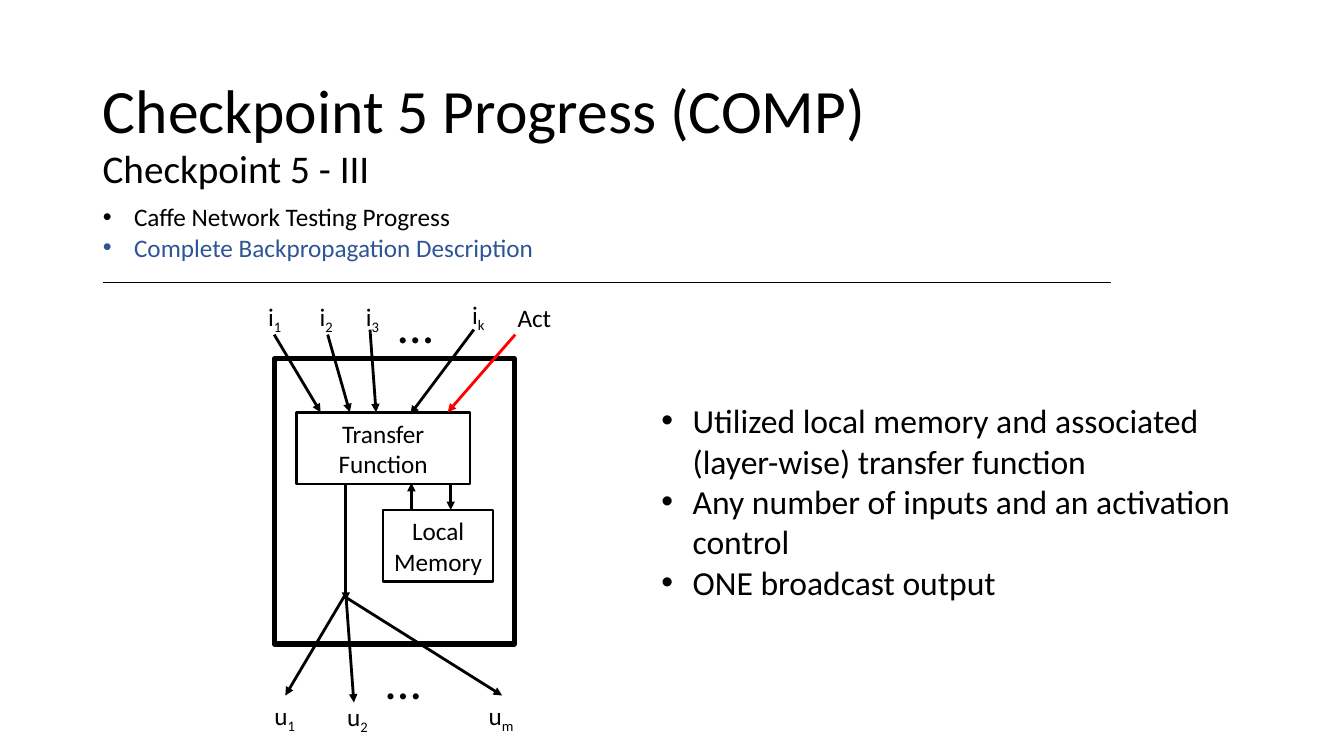
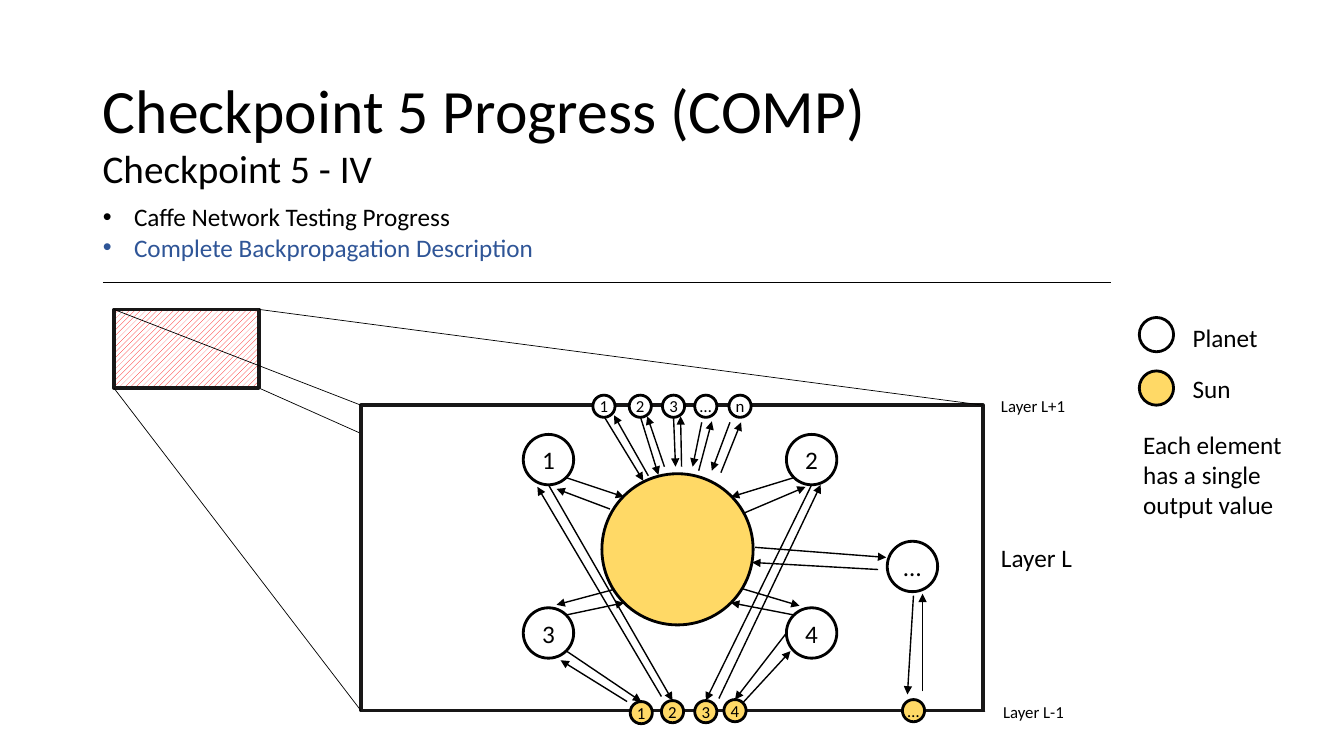
from typing import NamedTuple, Optional

from lxml.etree import SubElement
from pptx import Presentation
from pptx.dml.color import RGBColor
from pptx.enum.dml import MSO_PATTERN
from pptx.enum.shapes import MSO_CONNECTOR, MSO_SHAPE
from pptx.enum.text import MSO_ANCHOR, MSO_AUTO_SIZE, PP_ALIGN
from pptx.oxml.ns import qn
from pptx.util import Inches, Pt

COLORS = {
    "ink": "000000",
    "frame": "181717",
    "current": "2F5597",
    "activation": "FF0000",
    "planet": "FFFFFF",
    "sun": "FFD966",
}
FONT = "Calibri"
LEFT, WIDTH = 0.92, 11.5
TWO_CONTENT, ONE_CONTENT = 3, 1


class Label(NamedTuple):
    text: str
    left: float
    top: float
    width: float
    height: float = 0.4
    size: float = 18
    sub: str = ""
    align: PP_ALIGN = PP_ALIGN.LEFT


class Segment(NamedTuple):
    x1: float
    y1: float
    x2: float
    y2: float
    color: str = "ink"


class Circle(NamedTuple):
    x: float  # centre
    y: float
    diameter: float
    fill: str
    text: str = ""
    size: float = 18


class Box(NamedTuple):
    left: float
    top: float
    width: float
    height: float
    line_width: float
    line: str = "ink"
    text: str = ""


class Item(NamedTuple):
    text: str
    color: str = "ink"


def rgb(name: str) -> RGBColor:
    return RGBColor.from_string(COLORS[name])


def style_para(para, size: float, color: str = "ink", align=PP_ALIGN.LEFT) -> None:
    para.alignment = align
    para.font.name = FONT
    para.font.size = Pt(size)
    para.font.color.rgb = rgb(color)


def place(shape, left: float, top: float, width: float, height: float) -> None:
    shape.left, shape.top = Inches(left), Inches(top)
    shape.width, shape.height = Inches(width), Inches(height)


def add_label(shapes, label: Label):
    box = shapes.add_textbox(Inches(label.left), Inches(label.top),
                             Inches(label.width), Inches(label.height))
    box.text_frame.word_wrap = True
    para = box.text_frame.paragraphs[0]
    style_para(para, label.size, align=label.align)
    para.add_run().text = label.text
    if label.sub:
        span = para.add_run()
        span.text = label.sub
        span.font._element.set("baseline", "-25000")
    return box


def add_line(shapes, segment: Segment, width: float, arrow: bool = False) -> None:
    x1, y1, x2, y2, color = segment
    line = shapes.add_connector(MSO_CONNECTOR.STRAIGHT, Inches(x1), Inches(y1),
                                Inches(x2), Inches(y2))
    line.line.color.rgb = rgb(color)
    line.line.width = Pt(width)
    properties = line._element.spPr
    if arrow:
        SubElement(properties.find(qn("a:ln")), qn("a:tailEnd"), type="triangle")
    SubElement(properties, qn("a:effectLst"))


def add_outline(shapes, kind: MSO_SHAPE, left: float, top: float, width: float,
                height: float, line: str, line_width: float, fill: Optional[str] = None):
    shape = shapes.add_shape(kind, Inches(left), Inches(top), Inches(width), Inches(height))
    shape.shadow.inherit = False
    shape.line.color.rgb = rgb(line)
    shape.line.width = Pt(line_width)
    if fill:
        shape.fill.solid()
        shape.fill.fore_color.rgb = rgb(fill)
    else:
        shape.fill.background()
    return shape


def write_centred(shape, text: str, size: float) -> None:
    para = shape.text_frame.paragraphs[0]
    style_para(para, size, align=PP_ALIGN.CENTER)
    para.add_run().text = text


def add_box(shapes, box: Box, fill: Optional[str] = None):
    shape = add_outline(shapes, MSO_SHAPE.RECTANGLE, *box[:4], box.line, box.line_width, fill)
    if box.text:
        write_centred(shape, box.text, 18)
    return shape


def add_circle(shapes, circle: Circle) -> None:
    radius = circle.diameter / 2
    shape = add_outline(shapes, MSO_SHAPE.OVAL, circle.x - radius, circle.y - radius,
                        circle.diameter, circle.diameter, "ink", 2, circle.fill)
    if circle.text:
        frame = shape.text_frame
        frame.margin_left = frame.margin_right = frame.margin_top = frame.margin_bottom = 0
        frame.word_wrap = False
        write_centred(shape, circle.text, circle.size)


def fill_list(body, items: list[Item], size: float) -> None:
    frame = body.text_frame
    frame.auto_size = MSO_AUTO_SIZE.NONE
    frame.vertical_anchor = MSO_ANCHOR.TOP
    for index, item in enumerate(items):
        para = frame.add_paragraph() if index else frame.paragraphs[0]
        para.add_run().text = item.text
        style_para(para, size, item.color)
        para.space_before = Pt(0)
        properties = para._p.get_or_add_pPr()
        properties.set("marL", str(Inches(0.31)))
        properties.set("indent", str(Inches(-0.31)))


def add_page(deck, layout: int, subtitle: str):
    """Add a page with the shared title, subtitle, agenda and rule."""
    page = deck.slides.add_slide(deck.slide_layouts[layout])
    title = page.shapes.title
    place(title, LEFT, 0.4, WIDTH, 1.45)
    title.text_frame.text = "Checkpoint 5 Progress (COMP)"
    title.text_frame.auto_size = MSO_AUTO_SIZE.NONE
    style_para(title.text_frame.paragraphs[0], 44)

    agenda = page.placeholders[1]
    place(agenda, LEFT, 1.95, WIDTH, 0.71)
    fill_list(agenda, [Item("Caffe Network Testing Progress"),
                       Item("Complete Backpropagation Description", "current")], 18)

    heading = add_label(page.shapes, Label(subtitle, LEFT, 1.41, WIDTH, 0.56, 28))
    for shape in (title, heading):
        shape.text_frame.vertical_anchor = MSO_ANCHOR.MIDDLE
        shape.text_frame.paragraphs[0].line_spacing = 0.9
    add_line(page.shapes, Segment(1.02, 2.8, 11.02, 2.8), 0.5)
    return page


def build_element_page(deck) -> None:
    page = add_page(deck, TWO_CONTENT, "Checkpoint 5 - III")
    element = page.shapes.add_group_shape().shapes

    # Processing element and its parts
    for box in (Box(2.94, 4.09, 1.72, 0.71, 1.75, text="Transfer Function"),
                Box(3.8, 5.06, 1.09, 0.71, 1.75, text="Local Memory"),
                Box(2.72, 3.56, 2.38, 2.83, 3.75)):
        add_box(element, box)

    # Memory exchange, broadcast output, inputs and activation
    for segment in (
        Segment(4.08, 5.06, 4.08, 4.79), Segment(4.47, 4.79, 4.47, 5.06),
        Segment(3.43, 4.79, 3.43, 5.96), Segment(3.43, 5.89, 2.83, 6.9),
        Segment(3.43, 5.89, 3.51, 6.97), Segment(3.42, 5.92, 4.98, 6.9),
        Segment(2.72, 3.32, 3.18, 4.09), Segment(3.25, 3.32, 3.47, 4.09),
        Segment(3.67, 3.27, 3.73, 4.09), Segment(4.7, 3.27, 4.07, 4.11),
        Segment(5.11, 3.32, 4.44, 4.09, "activation"),
    ):
        add_line(element, segment, 2, arrow=True)

    # Signal names
    for text, sub, left, top, width in (
        ("i", "1", 2.54, 2.94, 0.37), ("i", "2", 3.05, 2.94, 0.37),
        ("i", "3", 3.51, 2.94, 0.37), ("i", "k", 4.56, 2.92, 0.37),
        ("Act", "", 5.01, 2.95, 0.58), ("u", "1", 2.6, 6.9, 0.45),
        ("u", "2", 3.32, 6.91, 0.45), ("u", "m", 4.72, 6.9, 0.5),
    ):
        add_label(element, Label(text, left, top, width, sub=sub, align=PP_ALIGN.CENTER))
    for left, top in ((3.85, 2.86), (3.73, 6.39)):
        add_label(element, Label("…", left, top, 0.37, 0.71, 36))

    # Properties of the element
    notes = page.placeholders[2]
    place(notes, 6.46, 3.92, 6.19, 2.12)
    fill_list(notes, [
        Item("Utilized local memory and associated (layer-wise) transfer function"),
        Item("Any number of inputs and an activation control"),
        Item("ONE broadcast output"),
    ], 24)


def build_layer_page(deck) -> None:
    shapes = add_page(deck, ONE_CONTENT, "Checkpoint 5 - IV").shapes

    # Hatched thumbnail enlarged into the layer panel
    add_line(shapes, Segment(2.57, 3.85, 9.77, 7.06), 0.5)
    thumbnail = add_box(shapes, Box(1.13, 3.07, 1.44, 0.78, 2.5, "frame"))
    thumbnail.fill.patterned()
    thumbnail.fill.pattern = MSO_PATTERN.WIDE_UPWARD_DIAGONAL
    thumbnail.fill.fore_color.rgb = rgb("activation")
    thumbnail.fill.back_color.rgb = rgb("planet")
    add_box(shapes, Box(3.58, 4.02, 6.17, 3.03, 2.5, "frame"), "planet")
    for segment in (Segment(1.13, 3.85, 3.58, 7.05), Segment(1.13, 3.07, 3.58, 4.02),
                    Segment(2.57, 3.07, 9.75, 4.02)):
        add_line(shapes, segment, 0.5)

    # Sun, planets and legend marks
    circles = [Circle(6.72, 5.45, 1.5, "sun"), Circle(9.05, 5.62, 0.5, "planet", "…"),
               Circle(11.47, 3.32, 0.34, "planet"), Circle(11.47, 3.85, 0.34, "sun")]
    circles += [Circle(5.44 + 2.61 * (index % 2), 4.56 + 1.72 * (index // 2),
                       0.5, "planet", str(index + 1)) for index in range(4)]
    # Elements of the neighbouring layers
    upper = zip("123…n", (5.99, 6.35, 6.68, 7, 7.34))
    lower = zip("1234…", (6.36, 6.67, 7, 7.29, 9.06), (7.07, 7.06, 7.06, 7.05, 7.05))
    circles += [Circle(x, 4.03, 0.22, "planet", text, 12) for text, x in upper]
    circles += [Circle(x, y, 0.22, "sun", text, 12) for text, x, y in lower]
    for circle in circles:
        add_circle(shapes, circle)

    # Exchanges between sun, planets and neighbouring layers
    for segment in (
        # planets and sun
        Segment(5.62, 4.74, 6.19, 4.93), Segment(6.05, 5.05, 5.52, 4.85),
        Segment(5.62, 6.1, 6.19, 5.98), Segment(6.08, 5.85, 5.52, 6),
        Segment(7.87, 4.74, 7.25, 4.93), Segment(7.38, 5.09, 7.99, 4.83),
        Segment(7.87, 6.1, 7.25, 5.98), Segment(7.36, 5.84, 7.93, 6.01),
        Segment(7.49, 5.43, 8.79, 5.53), Segment(8.71, 5.65, 7.46, 5.58),
        # planets and lower layer
        Segment(7.8, 6.28, 7.29, 6.94), Segment(7.37, 6.97, 7.84, 6.46),
        Segment(5.62, 6.46, 6.36, 6.96), Segment(6.22, 6.96, 5.56, 6.55),
        Segment(5.44, 4.81, 6.67, 6.95), Segment(6.56, 6.91, 5.33, 4.83),
        Segment(8.05, 4.81, 7, 6.95), Segment(7.13, 6.93, 8.14, 4.81),
        Segment(9.06, 5.91, 9, 6.89), Segment(9.15, 6.86, 9.15, 5.89),
        # upper layer and sun
        Segment(5.99, 4.13, 6.38, 4.77), Segment(6.43, 4.72, 6.09, 4.12),
        Segment(6.35, 4.13, 6.53, 4.71), Segment(6.59, 4.63, 6.42, 4.13),
        Segment(6.68, 4.13, 6.7, 4.63), Segment(6.76, 4.63, 6.75, 4.13),
        Segment(6.96, 4.19, 6.87, 4.63), Segment(6.93, 4.67, 7.06, 4.18),
        Segment(7.24, 4.19, 7.06, 4.67), Segment(7.15, 4.69, 7.35, 4.19),
    ):
        add_line(shapes, segment, 1, arrow=True)

    # Legend and layer names
    for label in (
        Label("Planet", 11.73, 3.15, 0.88),
        Label("Sun", 11.73, 3.65, 0.61),
        Label("Each element has a single output value", 11.24, 4.21, 1.6, 1.01),
        Label("Layer L+1", 9.83, 3.88, 1.03, 0.3, 12),
        Label("Layer L", 9.83, 5.33, 1.03),
        Label("Layer L-1", 9.85, 6.91, 1.03, 0.3, 12),
    ):
        add_label(shapes, label)


def main() -> None:
    deck = Presentation()
    deck.slide_width, deck.slide_height = Inches(13.33), Inches(7.5)
    build_element_page(deck)
    build_layer_page(deck)
    deck.save("out.pptx")


if __name__ == "__main__":
    main()
